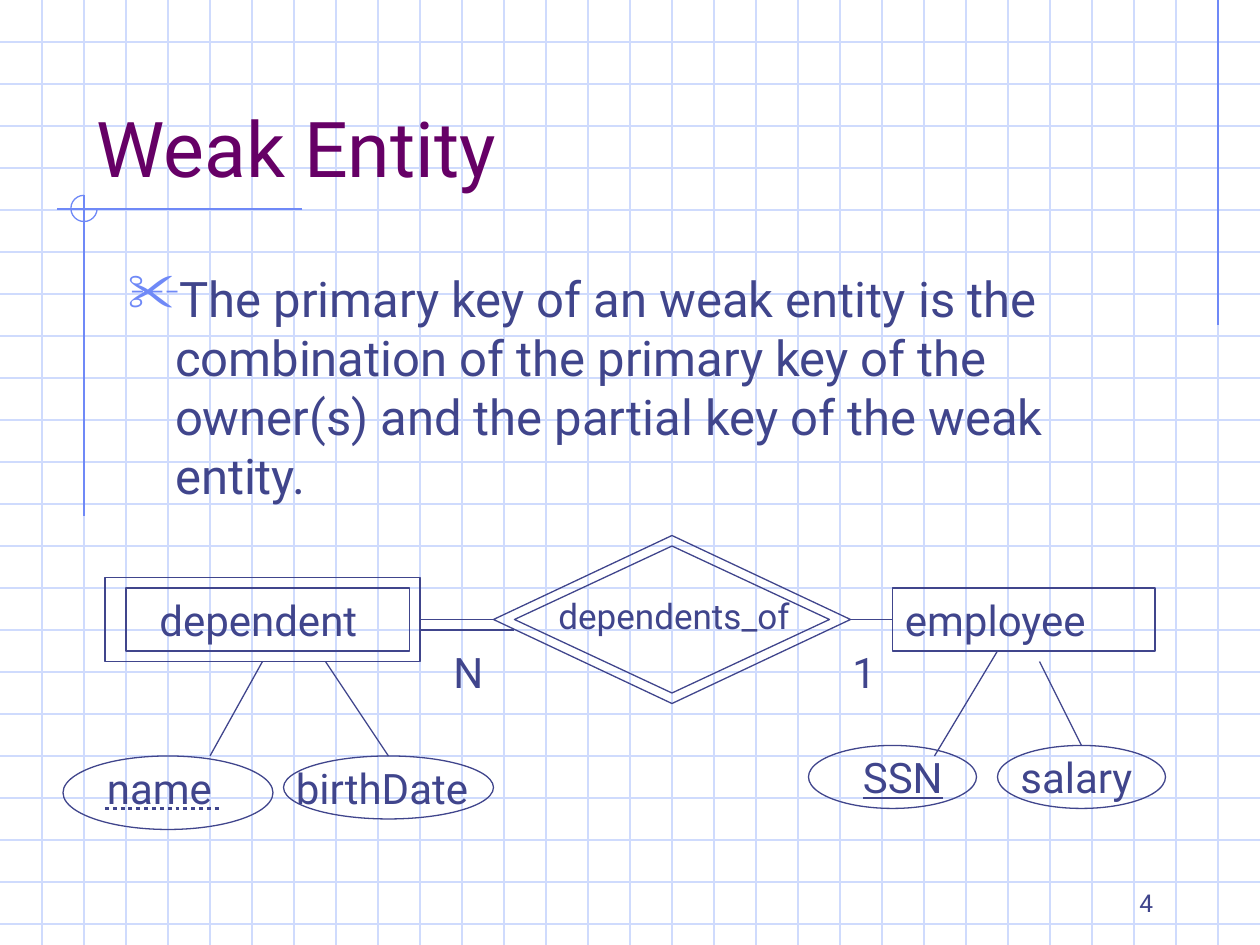
import pptx
import pptx.util
from lxml import etree
from pptx.dml.color import RGBColor
from pptx.enum.dml import MSO_LINE
from pptx.enum.shapes import MSO_CONNECTOR, MSO_SHAPE
from pptx.enum.text import MSO_ANCHOR, PP_ALIGN
from pptx.oxml.ns import qn

# All positions are in twelfths of an inch; the background grid has 4-unit cells.
UNIT_CM = 2.54 / 12
WIDTH, HEIGHT, CELL = 120, 90, 4
FONT = "Roboto"
INK, PURPLE, ACCENT, GRID = "40458C", "660066", "6F89F7", "CFDBFD"

FRAME_LINES = [(116, 0, 116, 31), (28.8, 19.9, 5.4, 19.9), (8, 18.6, 8, 49.1)]
FRAME_ARC = (6.75, 18.6, 2.5, 2.5)

TITLE = "Weak Entity"
BODY = (
    "The primary key of an weak entity is the combination of the primary key "
    "of the owner(s) and the partial key of the weak entity."
)
PAGE_NUMBER = "4"

OUTLINES = [
    (MSO_SHAPE.RECTANGLE, (10, 55, 30, 8)),
    (MSO_SHAPE.RECTANGLE, (12, 56, 27, 6)),
    (MSO_SHAPE.RECTANGLE, (85, 56, 25, 6)),
    (MSO_SHAPE.DIAMOND, (47, 51, 34, 16)),
    (MSO_SHAPE.DIAMOND, (49, 52, 30, 14)),
    (MSO_SHAPE.OVAL, (6, 72, 20, 7)),
    (MSO_SHAPE.OVAL, (27, 72, 20, 6)),
    (MSO_SHAPE.OVAL, (77, 71, 16, 6)),
    (MSO_SHAPE.OVAL, (95, 71, 16, 6)),
]
LINKS = [
    (40, 59, 47, 59),
    (40, 60, 49, 60),
    (81, 59, 85, 59),
    (25, 63, 20, 72),
    (31, 63, 37, 72),
    (95, 62, 89, 72),
    (99, 63, 103, 71),
]
PARTIAL_KEY_LINE = (10, 77, 21, 77)
LABELS = [
    ("dependent", (14, 56, 22, 6), 24),
    ("dependents_of", (52, 56, 32, 5.25), 20),
    ("employee", (85, 56, 28, 6), 24),
    ("N", (42, 61, 6, 6), 24),
    ("1", (80, 61, 5, 6), 24),
    ("name", (9, 72, 13, 6), 24),
    ("birthDate", (27, 72, 19, 6), 24),
    ("SSN", (81, 71, 12, 6), 24),
    ("salary", (96, 71, 15, 6), 24),
]
PRIMARY_KEYS = {"SSN"}


def units(*values):
    return [pptx.util.Cm(value * UNIT_CM) for value in values]


def color(value):
    return RGBColor.from_string(value)


def add_line(page, ends, ink, width=0.75):
    line = page.shapes.add_connector(MSO_CONNECTOR.STRAIGHT, *units(*ends))
    line.line.color.rgb = color(ink)
    line.line.width = pptx.util.Pt(width)
    etree.SubElement(line._element.spPr, qn("a:effectLst"))
    return line


def add_outline(page, kind, place, ink):
    shape = page.shapes.add_shape(kind, *units(*place))
    shape.shadow.inherit = False
    shape.fill.background()
    shape.line.color.rgb = color(ink)
    shape.line.width = pptx.util.Pt(0.75)
    return shape


def add_text(page, text, place, size, ink=INK, anchor=MSO_ANCHOR.TOP):
    box = page.shapes.add_textbox(*units(*place))
    box.text_frame.word_wrap = True
    box.text_frame.vertical_anchor = anchor
    para = box.text_frame.paragraphs[0]
    para.text = text
    para.font.name = FONT
    para.font.size = pptx.util.Pt(size)
    para.font.color.rgb = color(ink)
    return para


def add_bullet(para, symbol, ink, percent, indent):
    properties = para._p.get_or_add_pPr()
    properties.set("marL", str(indent))
    properties.set("indent", str(-indent))
    bullet_color = etree.Element(qn("a:buClr"))
    etree.SubElement(bullet_color, qn("a:srgbClr"), val=ink)
    bullet_size = etree.Element(qn("a:buSzPct"), val=str(percent * 1000))
    bullet = etree.Element(qn("a:buChar"), char=symbol)
    for position, element in enumerate((bullet_color, bullet_size, bullet)):
        properties.insert(position, element)


def draw_background(page):
    for y in range(CELL, HEIGHT, CELL):
        add_line(page, (0, y, WIDTH, y), GRID)
    for x in range(CELL, WIDTH, CELL):
        add_line(page, (x, 0, x, HEIGHT), GRID)
    for ends in FRAME_LINES:
        add_line(page, ends, ACCENT)
    arc = add_outline(page, MSO_SHAPE.ARC, FRAME_ARC, ACCENT)
    arc.adjustments[0] = 0
    arc.adjustments[1] = 162


def draw_text(page):
    number = add_text(page, PAGE_NUMBER, (86, 82, 25, 6), 14, anchor=MSO_ANCHOR.BOTTOM)
    number.alignment = PP_ALIGN.RIGHT
    add_text(page, TITLE, (8, 4, 102, 15), 44, PURPLE, MSO_ANCHOR.BOTTOM)
    body = add_text(page, BODY, (11, 25, 102, 25), 28)
    add_bullet(body, "✂", ACCENT, 110, units(4.5)[0])


def draw_diagram(page):
    for kind, place in OUTLINES:
        add_outline(page, kind, place, INK)
    for ends in LINKS:
        add_line(page, ends, INK)
    for text, place, size in LABELS:
        label = add_text(page, text, place, size)
        if text in PRIMARY_KEYS:
            label.runs[0].font.underline = True
    dotted = add_line(page, PARTIAL_KEY_LINE, INK, 2.25)
    dotted.line.dash_style = MSO_LINE.ROUND_DOT


def main():
    deck = pptx.Presentation()
    deck.slide_width, deck.slide_height = units(WIDTH, HEIGHT)
    page = deck.slides.add_slide(deck.slide_layouts[6])
    draw_background(page)
    draw_text(page)
    draw_diagram(page)
    deck.save("out.pptx")


if __name__ == "__main__":
    main()
